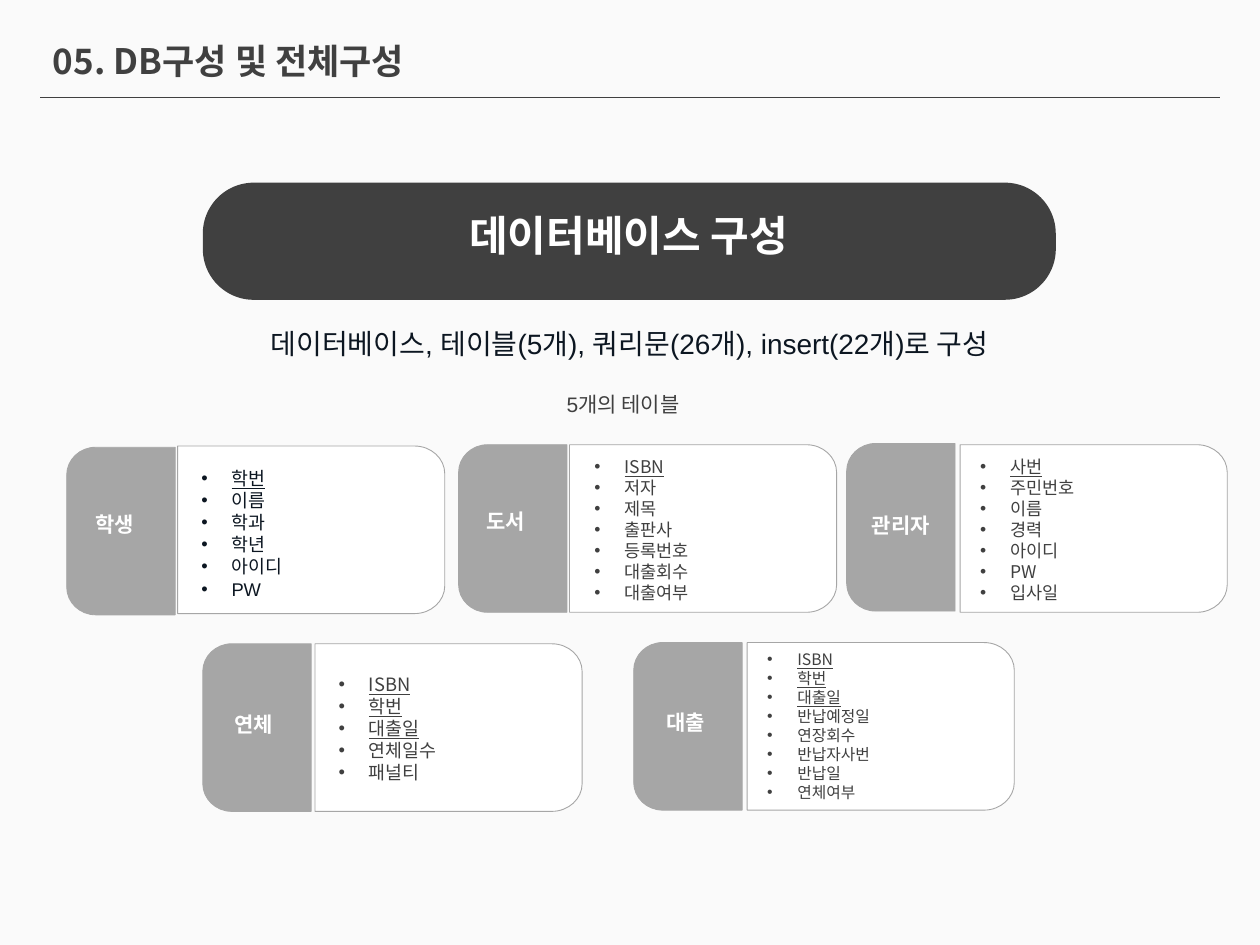
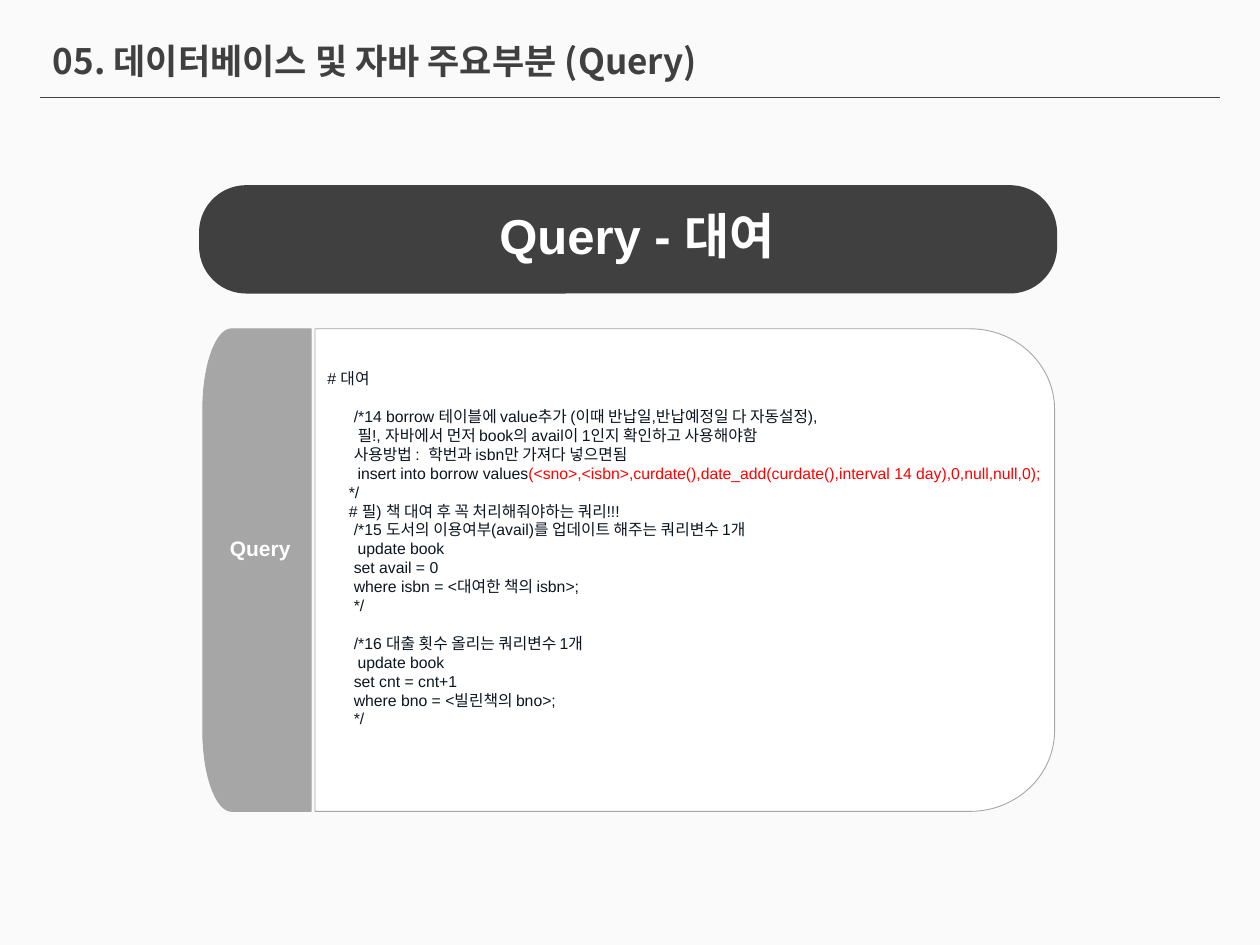
from lxml import etree
from pptx import Presentation
from pptx.dml.color import RGBColor
from pptx.enum.shapes import MSO_CONNECTOR, MSO_SHAPE
from pptx.enum.text import MSO_ANCHOR, PP_ALIGN
from pptx.oxml.ns import qn
from pptx.util import Inches, Pt

LEFT, CENTER = PP_ALIGN.LEFT, PP_ALIGN.CENTER
MIDDLE, TOP = MSO_ANCHOR.MIDDLE, MSO_ANCHOR.TOP
LINE, ROUND = MSO_CONNECTOR.STRAIGHT, MSO_SHAPE.ROUNDED_RECTANGLE

COLORS = {"back": "FAFAFA", "dark": "404040", "gray": "A6A6A6",
          "white": "FFFFFF", "ink": "0C1621", "red": "FF0000"}
SANS, NOTO = "Arial", "Noto Sans CJK KR"

TITLES = ["05. DB구성 및 전체구성", "05. 데이터베이스 및 자바 주요부분 (Query)"]
SUMMARY = "데이터베이스, 테이블(5개), 쿼리문(26개), insert(22개)로 구성"

# name, corners of tab, panel, name and list, size, font, color, keys, fields
CARDS = [
    ("학생", (0.53, 3.55), (1.41, 3.54), (0.66, 4.01), (1.5, 3.66),
     10.5, SANS, "ink", 1,
     ["학번", "이름", "학과", "학년", "아이디", "PW"]),
    ("도서", (3.64, 3.53), (4.52, 3.53), (3.76, 3.99), (4.62, 3.57),
     10, NOTO, "dark", 1,
     ["ISBN", "저자", "제목", "출판사", "등록번호", "대출회수", "대출여부"]),
    ("관리자", (6.72, 3.52), (7.62, 3.53), (6.82, 4.02), (7.68, 3.57),
     10, NOTO, "dark", 1,
     ["사번", "주민번호", "이름", "경력", "아이디", "PW", "입사일"]),
    ("연체", (1.61, 5.11), (2.5, 5.11), (1.76, 5.6), (2.59, 5.29),
     10.5, NOTO, "dark", 3,
     ["ISBN", "학번", "대출일", "연체일수", "패널티"]),
    ("대출", (5.03, 5.1), (5.93, 5.1), (5.19, 5.58), (5.99, 5.11),
     9, NOTO, "dark", 3,
     ["ISBN", "학번", "대출일", "반납예정일", "연장회수", "반납자사번",
      "반납일", "연체여부"]),
]

# Each block is a list of (indent, text, red text)
CODE = [
    [(0, "# 대여", "")],
    [(0.21, "/*14 borrow 테이블에 value추가 (이때 반납일,반납예정일 다 자동설정),", ""),
     (0.24, "필!, 자바에서 먼저 book의 avail이 1인지 확인하고 사용해야함", ""),
     (0.21, "사용방법 :  학번과 isbn만 가져다 넣으면됨", ""),
     (0.24, "insert into borrow values",
      "(<sno>,<isbn>,curdate(),date_add(curdate(),interval 14 day),0,null,null,0);"),
     (0.17, "*/", ""),
     (0.17, "# 필) 책 대여 후 꼭 처리해줘야하는 쿼리!!!", ""),
     (0.21, "/*15 도서의 이용여부(avail)를 업데이트 해주는 쿼리변수 1개", ""),
     (0.24, "update book", ""),
     (0.21, "set avail = 0", ""),
     (0.21, "where isbn = <대여한 책의 isbn>;", ""),
     (0.21, "*/", "")],
    [(0.21, "/*16 대출 횟수 올리는 쿼리변수 1개", ""),
     (0.24, "update book", ""),
     (0.21, "set cnt = cnt+1", ""),
     (0.21, "where bno = <빌린책의 bno>;", ""),
     (0.21, "*/", "")],
]

TAB_W, PANEL_W, CARD_H = 0.86, 2.12, 1.33
LEAD = 1.2      # line height over text size
BEND = 0.55     # curve handle over corner radius


def rgb(name):
    return RGBColor.from_string(COLORS[name])


def add_run(para, text, size, color, font=SANS, bold=False, under=False):
    run = para.add_run()
    run.text = text
    face = run.font
    face.name, face.size = font, Pt(size)
    face.bold, face.underline = bold, under
    face.color.rgb = rgb(color)
    props = run._r.get_or_add_rPr()
    props.set("kern", "0")
    etree.SubElement(props, qn("a:ea")).set("typeface", NOTO)


def add_box(slide, x, y, w, h, wrap=True):
    box = slide.shapes.add_textbox(*map(Inches, (x, y, w, h)))
    frame = box.text_frame
    frame.word_wrap = wrap
    frame.vertical_anchor = TOP
    return frame


def add_label(slide, rect, text, size, color="white", bold=True,
              align=CENTER, wrap=True):
    para = add_box(slide, *rect, wrap).paragraphs[0]
    para.alignment = align
    add_run(para, text, size, color, bold=bold)


def add_lines(frame, count, size):
    """Yield the paragraphs of a list with even line height."""
    for i in range(count):
        para = frame.add_paragraph() if i else frame.paragraphs[0]
        para.line_spacing = Pt(size * LEAD)
        yield para


def indent(para, left, bullet=False):
    props = para._p.get_or_add_pPr()
    props.set("marL", str(Inches(left)))
    if bullet:
        props.set("indent", str(-Inches(left)))
        etree.SubElement(props, qn("a:buFont")).set("typeface", SANS)
        etree.SubElement(props, qn("a:buChar")).set("char", "•")


def curve(seg, start, corner, end):
    """Turn a straight path segment into a rounded corner."""
    seg.tag = qn("a:cubicBezTo")
    for child in list(seg):
        seg.remove(child)
    hands = [[a + (c - a) * BEND for a, c in zip(pt, corner)]
             for pt in (start, end)]
    for px, py in (*hands, end):
        node = etree.SubElement(seg, qn("a:pt"))
        node.set("x", str(Inches(px)))
        node.set("y", str(Inches(py)))


def add_half(slide, x, y, w, h, rx, ry, fill, left):
    """Draw a box with its left or right corners rounded."""
    flat, edge, bow = (w, 0, rx) if left else (0, w, w - rx)
    pts = [(flat, 0), (bow, 0), (edge, ry), (edge, h - ry), (bow, h), (flat, h)]
    spots = [(Inches(x + px), Inches(y + py)) for px, py in pts]
    form = slide.shapes.build_freeform(*spots[0])
    form.add_line_segments(spots[1:], close=True)
    shape = form.convert_to_shape()
    segs = list(shape._element.iter(qn("a:lnTo")))
    curve(segs[1], pts[1], (edge, 0), pts[2])
    curve(segs[3], pts[3], (edge, h), pts[4])
    shape.shadow.inherit = False
    shape.fill.solid()
    shape.fill.fore_color.rgb = rgb(fill)
    shape.line.color.rgb = rgb("gray")
    shape.line.width = Pt(0.5)


def add_card(slide, tab, panel, width, h, radii):
    """Draw a gray tab and the white panel beside it."""
    add_half(slide, *tab, TAB_W, h, *radii[0], "gray", True)
    add_half(slide, *panel, width, h, *radii[1], "white", False)


def add_pill(slide, x, y, w, h):
    pill = slide.shapes.add_shape(ROUND, *map(Inches, (x, y, w, h)))
    pill.adjustments[0] = 0.435
    pill.shadow.inherit = False
    pill.fill.solid()
    pill.fill.fore_color.rgb = rgb("dark")
    pill.line.fill.background()


def add_slide(prs, text):
    slide = prs.slides.add_slide(prs.slide_layouts[5])
    slide.background.fill.solid()
    slide.background.fill.fore_color.rgb = rgb("back")
    title = slide.shapes.title
    title.left, title.top = Inches(0.32), Inches(0.26)
    title.width, title.height = Inches(9.36), Inches(0.44)
    title.text_frame.vertical_anchor = MIDDLE
    para = title.text_frame.paragraphs[0]
    para.alignment = LEFT
    add_run(para, text, 20, "dark", NOTO, True)
    rule = slide.shapes.add_connector(
        LINE, *map(Inches, (0.32, 0.77, 9.68, 0.77)))
    rule.line.color.rgb = rgb("dark")
    rule.line.width = Pt(0.5)
    etree.SubElement(rule._element.spPr, qn("a:effectLst"))
    return slide


def add_tables(prs):
    slide = add_slide(prs, TITLES[0])
    add_pill(slide, 1.61, 1.45, 6.77, 0.93)
    add_label(slide, (1.91, 1.61, 6.16, 0.5), "데이터베이스 구성", 24)
    add_label(slide, (1.77, 2.54, 6.45, 0.37), SUMMARY, 16, "ink", False)
    add_label(slide, (2.63, 3.06, 4.63, 0.31), "5개의 테이블", 12, "dark", False)
    for name, tab, panel, spot, start, size, font, color, keys, fields in CARDS:
        add_card(slide, tab, panel, PANEL_W, CARD_H,
                 ((0.23, 0.22), (0.24, 0.22)))
        wide = 0.2 + len(name) * 0.17
        add_label(slide, (*spot, wide, 0.3), name, 12, align=LEFT, wrap=False)
        high = len(fields) * size * LEAD / 72 + 0.1
        frame = add_box(slide, *start, 1.97, high)
        paras = add_lines(frame, len(fields), size)
        for i, (para, field) in enumerate(zip(paras, fields)):
            indent(para, 0.24, True)
            add_run(para, field, size, color, font, under=i < keys)


def add_query(prs):
    slide = add_slide(prs, TITLES[1])
    add_card(slide, (1.61, 2.61), (2.5, 2.61), 5.87, 3.83,
             ((0.23, 0.64), (0.67, 0.64)))
    add_label(slide, (1.72, 4.2, 0.69, 0.3), "Query", 12, wrap=False)
    size = 9
    frame = add_box(slide, 2.5, 2.88, 7.23, 3.13)
    rows = [(i > 0 and j == 0, *row)
            for i, block in enumerate(CODE) for j, row in enumerate(block)]
    for para, (gap, left, text, red) in zip(
            add_lines(frame, len(rows), size), rows):
        indent(para, left)
        if gap:
            para.space_before = Pt(size * LEAD)
        add_run(para, text, size, "ink")
        if red:
            add_run(para, red, size, "red")
    add_pill(slide, 1.58, 1.47, 6.81, 0.86)
    add_label(slide, (2.04, 1.58, 6.03, 0.57), "Query - 대여", 28)


def main():
    prs = Presentation()
    prs.slide_width, prs.slide_height = Inches(10), Inches(7.5)
    add_tables(prs)
    add_query(prs)
    prs.save("out.pptx")


if __name__ == "__main__":
    main()
